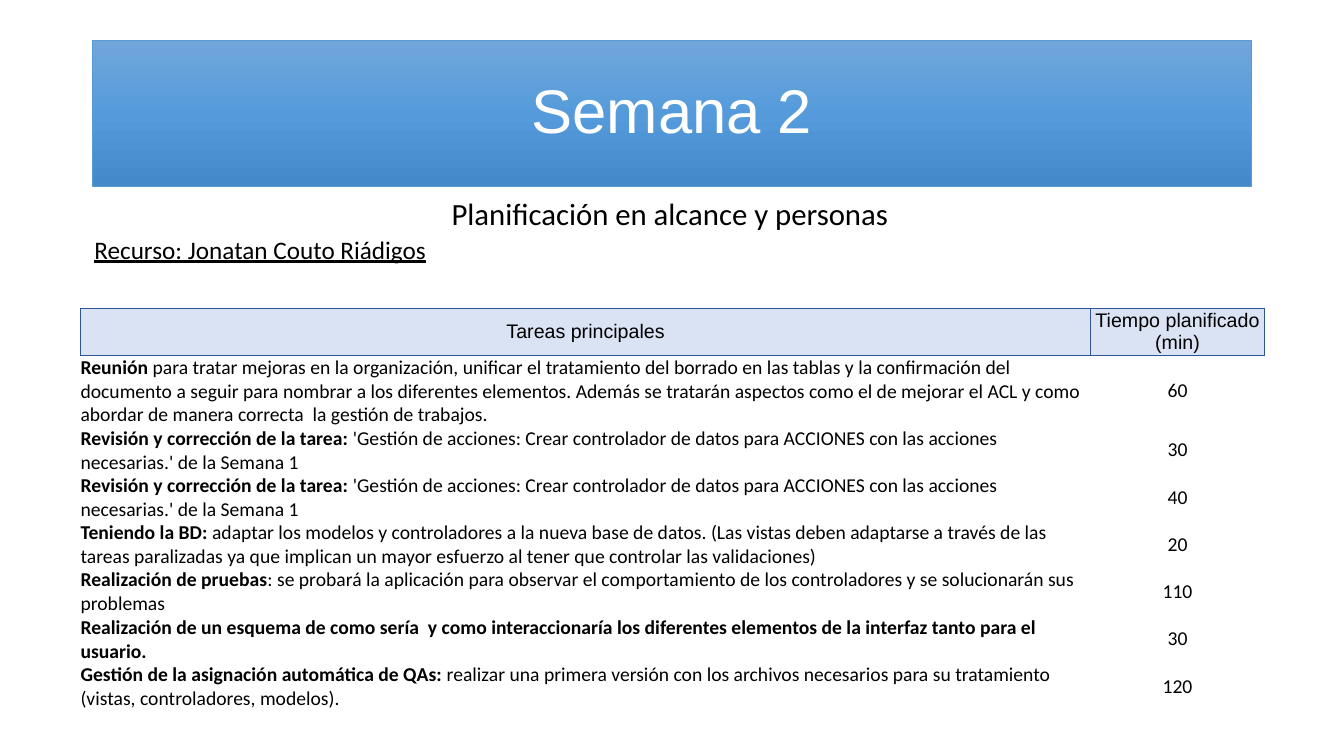
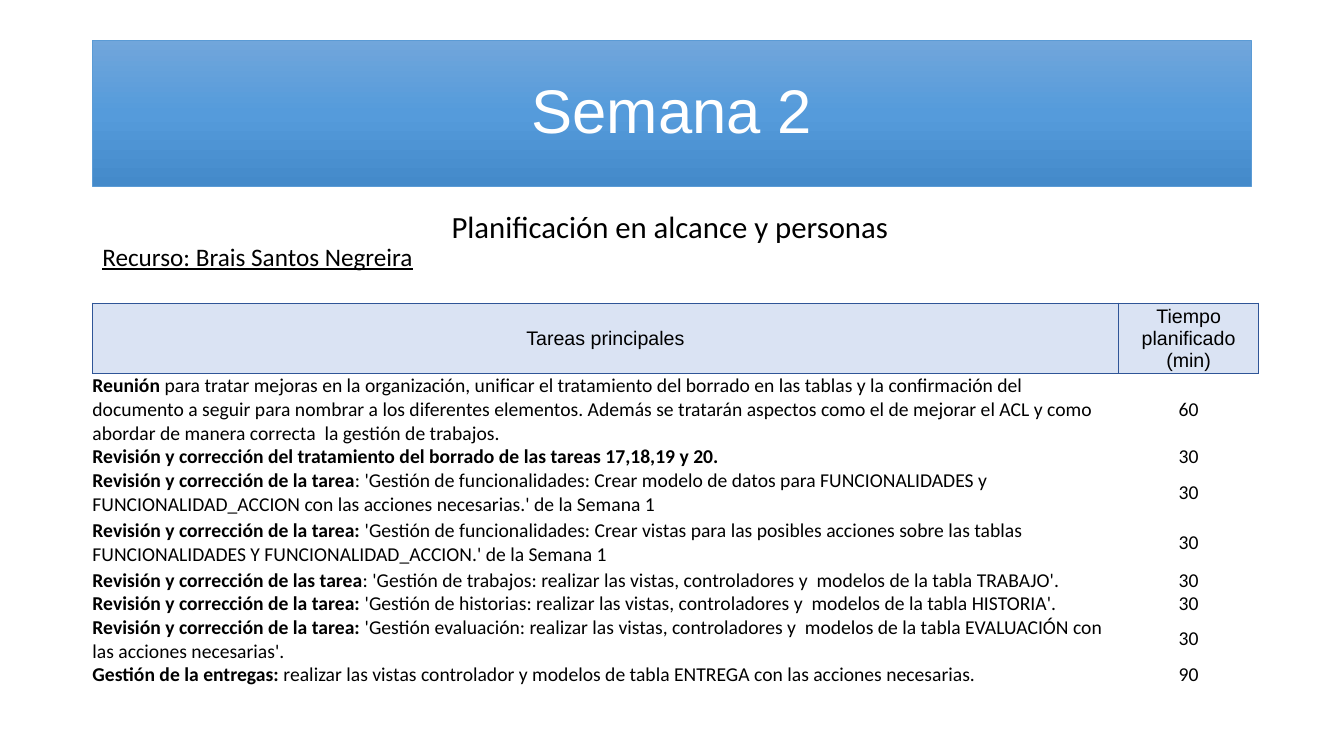
from copy import deepcopy

from lxml import etree
from pptx import Presentation
from pptx.dml.color import RGBColor
from pptx.enum.shapes import MSO_SHAPE
from pptx.enum.text import MSO_ANCHOR, PP_ALIGN
from pptx.oxml.ns import qn
from pptx.util import Cm, Pt

RECT = MSO_SHAPE.RECTANGLE
MIDDLE = MSO_ANCHOR.MIDDLE
LEFT, CENTER = PP_ALIGN.LEFT, PP_ALIGN.CENTER

HEAD_FONT, BODY_FONT = "Arial", "Calibri"
BLACK, WHITE = "000000", "FFFFFF"
BAND_STOPS = [(0, "71A6DB"), (0.5, "559BDB"), (1, "448ACA")]
BAND_LINE = "5B9BD5"
HEAD_FILL, HEAD_LINE = "DAE3F3", "2F5597"
PLAIN_TABLE = "{2D5ABB26-0587-4C30-8999-92F81FD0307C}"
HEADERS = ("Tareas principales", "Tiempo planificado (min)")

MEETING = (
    "Reunión",
    " para tratar mejoras en la organización, unificar el tratamiento del borrado en las tablas "
    "y la confirmación del documento a seguir para nombrar a los diferentes elementos. Además se "
    "tratarán aspectos como el de mejorar el ACL y como abordar de manera correcta  la gestión "
    "de trabajos.",
    60, 1.79)
REVIEW = "Revisión y corrección de la tarea"
ACTIONS = (" 'Gestión de acciones: Crear controlador de datos para ACCIONES con las acciones "
           "necesarias.' de la Semana 1")

JONATAN_TASKS = [
    MEETING,
    (REVIEW + ":", ACTIONS, 30, 1.19),
    (REVIEW + ":", ACTIONS, 40, 1.19),
    ("Teniendo la BD:",
     " adaptar los modelos y controladores a la nueva base de datos. (Las vistas deben adaptarse "
     "a través de las tareas paralizadas ya que implican un mayor esfuerzo al tener que controlar "
     "las validaciones)", 20, 1.19),
    ("Realización de pruebas",
     ": se probará la aplicación para observar el comportamiento de los controladores y se "
     "solucionarán sus problemas", 110, 1.19),
    ("Realización de un esquema de como sería  y como interaccionaría los diferentes elementos "
     "de la interfaz tanto para el usuario.", "", 30, 1.19),
    ("Gestión de la asignación automática de QAs:",
     " realizar una primera versión con los archivos necesarios para su tratamiento (vistas, "
     "controladores, modelos).", 120, 1.19),
]

BRAIS_TASKS = [
    MEETING,
    ("Revisión y corrección del tratamiento del borrado de las tareas 17,18,19 y 20.", "",
     30, 0.59),
    (REVIEW,
     ": 'Gestión de funcionalidades: Crear modelo de datos para FUNCIONALIDADES y "
     "FUNCIONALIDAD_ACCION con las acciones necesarias.' de la Semana 1", 30, 1.22),
    (REVIEW + ":",
     " 'Gestión de funcionalidades: Crear vistas para las posibles acciones sobre las tablas "
     "FUNCIONALIDADES Y FUNCIONALIDAD_ACCION.' de la Semana 1", 30, 1.3),
    ("Revisión y corrección de las tarea",
     ": 'Gestión de trabajos: realizar las vistas, controladores y  modelos de la tabla "
     "TRABAJO'.", 30, 0.59),
    (REVIEW + ":",
     " 'Gestión de historias: realizar las vistas, controladores y  modelos de la tabla "
     "HISTORIA'.", 30, 0.59),
    (REVIEW + ":",
     " 'Gestión evaluación: realizar las vistas, controladores y  modelos de la tabla "
     "EVALUACIÓN con las acciones necesarias'.", 30, 1.19),
    ("Gestión de la entregas:",
     " realizar las vistas controlador y modelos de tabla ENTREGA con las acciones necesarias.",
     90, 0.59),
]


def rgb(value):
    return RGBColor.from_string(value)


def format_run(r, size, font, color=BLACK, bold=False, underline=False):
    r.font.size = Pt(size)
    r.font.name = font
    r.font.color.rgb = rgb(color)
    r.font.bold = bold
    r.font.underline = underline


def add_title_band(slide, text):
    sp = slide.shapes.add_shape(RECT, Cm(2.33), Cm(1.01), Cm(29.21), Cm(3.68))
    sp.shadow.inherit = False
    sp.fill.gradient()
    sp.fill.gradient_angle = 270
    stops = sp._element.spPr.find(".//" + qn("a:gsLst"))
    stops.append(deepcopy(stops[0]))
    for stop, (position, color) in zip(sp.fill.gradient_stops, BAND_STOPS):
        stop.position = position
        stop.color.rgb = rgb(color)
    sp.line.color.rgb = rgb(BAND_LINE)
    sp.line.width = Pt(0.5)
    tf = sp.text_frame
    tf.text = text
    tf.vertical_anchor = MIDDLE
    p = tf.paragraphs[0]
    p.alignment = CENTER
    p.line_spacing = 0.9
    format_run(p.runs[0], 44, HEAD_FONT, WHITE)


def add_label(slide, text, left, top, width, height, size, underline=False):
    tf = slide.shapes.add_textbox(Cm(left), Cm(top), Cm(width), Cm(height)).text_frame
    tf.word_wrap = True
    tf.text = text
    format_run(tf.paragraphs[0].runs[0], size, BODY_FONT, underline=underline)


def set_borders(cell, color):
    tcPr = cell._tc.get_or_add_tcPr()
    for side in ("lnL", "lnR", "lnT", "lnB"):
        ln = etree.SubElement(tcPr, qn("a:" + side), w=str(Pt(1)))
        fill = etree.SubElement(ln, qn("a:solidFill"))
        etree.SubElement(fill, qn("a:srgbClr"), val=color)


def write_cell(cell, parts, align, font=BODY_FONT):
    cell.margin_left = cell.margin_right = cell.margin_top = cell.margin_bottom = 0
    cell.vertical_anchor = MIDDLE
    p = cell.text_frame.paragraphs[0]
    p.alignment = align
    for text, bold in parts:
        if text:
            r = p.add_run()
            r.text = text
            format_run(r, 14, font, bold=bold)


def add_task_table(slide, tasks, left, top, widths, head_height):
    heights = [head_height] + [task[3] for task in tasks]
    frame = slide.shapes.add_table(len(heights), len(widths), Cm(left), Cm(top),
                                   Cm(sum(widths)), Cm(sum(heights)))
    table = frame.table
    table.horz_banding = False
    table._tbl.tblPr.find(qn("a:tableStyleId")).text = PLAIN_TABLE
    for column, width in zip(table.columns, widths):
        column.width = Cm(width)
    for row, height in zip(table.rows, heights):
        row.height = Cm(height)
    for col, text in enumerate(HEADERS):
        cell = table.cell(0, col)
        write_cell(cell, [(text, False)], CENTER, HEAD_FONT)
        set_borders(cell, HEAD_LINE)
        cell.fill.solid()
        cell.fill.fore_color.rgb = rgb(HEAD_FILL)
    for row, (lead, rest, minutes, _) in enumerate(tasks, 1):
        write_cell(table.cell(row, 0), [(lead, True), (rest, False)], LEFT)
        write_cell(table.cell(row, 1), [(str(minutes), False)], CENTER)
        for col in range(len(widths)):
            table.cell(row, col).fill.background()


def add_plan_slide(prs, person, subtitle_top, person_at, tasks, table_at, widths, head_height):
    slide = prs.slides.add_slide(prs.slide_layouts[6])
    add_title_band(slide, "Semana 2")
    add_label(slide, "Planificación en alcance y personas", 11.13, subtitle_top, 11.7, 1.2, 22)
    add_label(slide, "Recurso: " + person, *person_at, 9.4, 1.03, 18, underline=True)
    add_task_table(slide, tasks, *table_at, widths, head_height)


def main():
    prs = Presentation()
    prs.slide_width, prs.slide_height = Cm(33.87), Cm(19.05)
    add_plan_slide(prs, "Jonatan Couto Riádigos", 4.78, (2.13, 5.77),
                   JONATAN_TASKS, (2.03, 7.77), (25.46, 4.37), 1.19)
    add_plan_slide(prs, "Brais Santos Negreira", 5.11, (2.33, 5.95),
                   BRAIS_TASKS, (2.33, 7.64), (25.86, 3.53), 1.77)
    prs.save("out.pptx")


if __name__ == "__main__":
    main()
